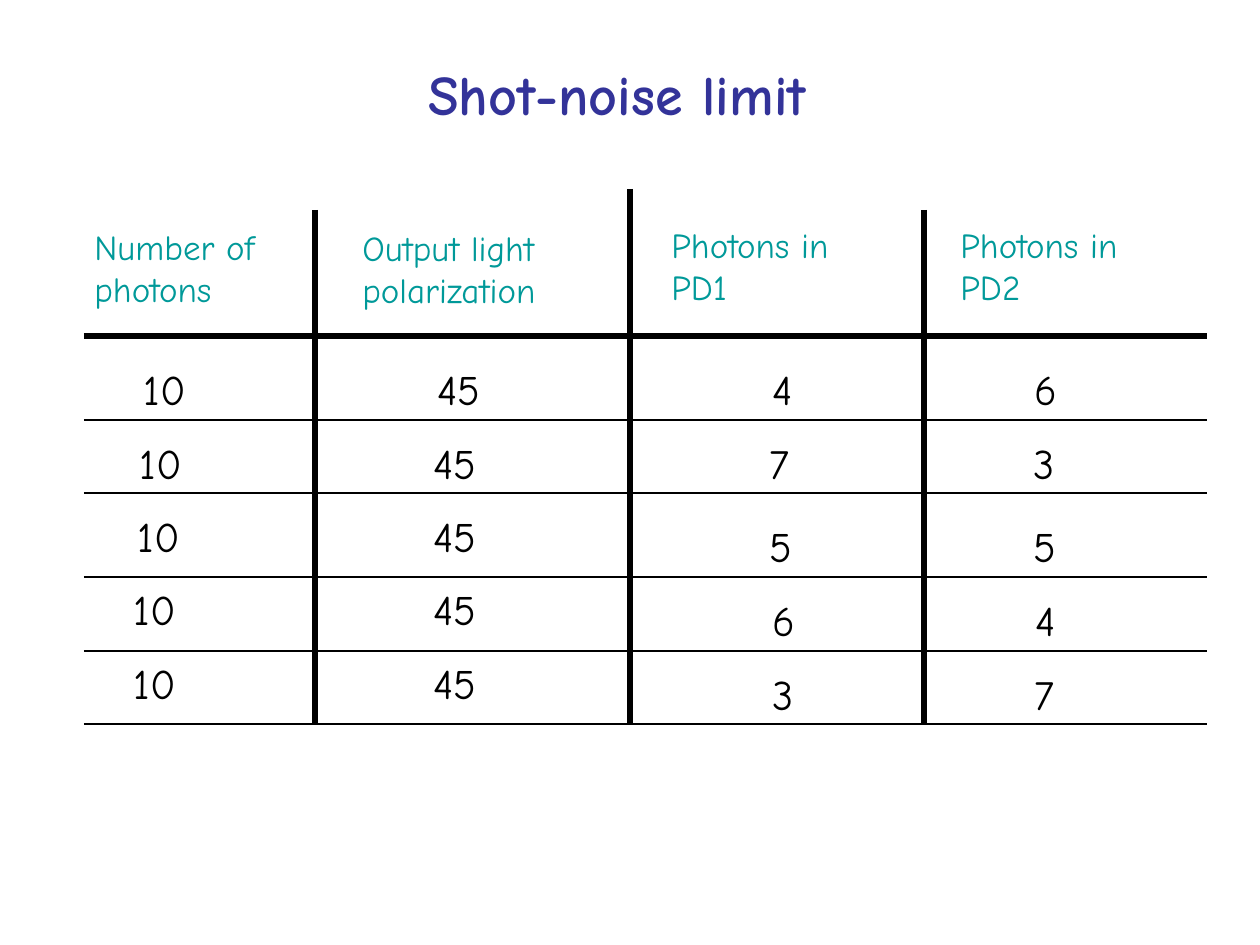
from pptx import Presentation
from pptx.dml.color import RGBColor
from pptx.enum.shapes import MSO_CONNECTOR
from pptx.enum.text import MSO_AUTO_SIZE
from pptx.oxml.ns import qn
from pptx.util import Emu, Pt
from lxml.etree import SubElement

SCALE = 914400 // 126
FONT = "Comic Neue"
BLACK, TEAL, NAVY = "000000", "009999", "333399"

TITLE = ("Shot-noise limit", 416, 53, 404, 81)
HEADERS = [
    ("Number of\nphotons", 82, 219, 185),
    ("Output light\npolarization", 350, 220, 208),
    ("Photons in\nPD1", 659, 217, 195),
    ("Photons in\nPD2", 948, 217, 195),
]
ROWS = [
    ("10", "45", "4", "6"),
    ("10", "45", "7", "3"),
    ("10", "45", "5", "5"),
    ("10", "45", "6", "4"),
    ("10", "45", "3", "7"),
]
ROW_LEFTS = [
    (131, 425, 760, 1022),
    (127, 421, 757, 1021),
    (125, 421, 757, 1021),
    (121, 421, 760, 1023),
    (121, 421, 760, 1022),
]
ROW_TOPS = [(357, 357), (431, 431), (504, 514), (577, 588), (651, 662)]
CELL_WIDTHS = {"10": 67, "45": 68, "3": 47, "4": 45, "5": 48, "6": 48, "7": 45}
CELL_HEIGHT = 63

TABLE_LEFT, TABLE_RIGHT, TABLE_BOTTOM = 84, 1207, 724
HEADER_RULE = 336
ROW_RULES = [420, 493, 577, 651, TABLE_BOTTOM]
COLUMN_RULES = [(315, 210), (630, 189), (924, 210)]


def px(n):
    return Emu(n * SCALE)


def rgb(value):
    return RGBColor.from_string(value)


def add_text(s, text, x, y, w, h, size, color, bold=False):
    sp = s.shapes.add_textbox(px(x), px(y), px(w), px(h))
    tf = sp.text_frame
    tf.word_wrap = False
    tf.auto_size = MSO_AUTO_SIZE.SHAPE_TO_FIT_TEXT
    tf.text = text
    for p in tf.paragraphs:
        p.font.name = FONT
        p.font.size = Pt(size)
        p.font.bold = bold
        p.font.color.rgb = rgb(color)


def add_rule(s, x1, y1, x2, y2, width):
    line = s.shapes.add_connector(MSO_CONNECTOR.STRAIGHT, px(x1), px(y1), px(x2), px(y2))
    line.line.color.rgb = rgb(BLACK)
    line.line.width = Pt(width)
    SubElement(line._element.spPr, qn("a:effectLst"))


prs = Presentation()
prs.slide_width, prs.slide_height = px(1260), px(945)
s = prs.slides.add_slide(prs.slide_layouts[6])

add_text(s, *TITLE, 32, NAVY, bold=True)
for text, x, y, w in HEADERS:
    add_text(s, text, x, y, w, 97, 20, TEAL)

for x, top in COLUMN_RULES:
    add_rule(s, x, top, x, TABLE_BOTTOM, 3)

for values, lefts, tops in zip(ROWS, ROW_LEFTS, ROW_TOPS):
    for i, (value, x) in enumerate(zip(values, lefts)):
        add_text(s, value, x, tops[i // 2], CELL_WIDTHS[value], CELL_HEIGHT, 24, BLACK)

for y in ROW_RULES:
    add_rule(s, TABLE_LEFT, y, TABLE_RIGHT, y, 0.75)
add_rule(s, TABLE_LEFT, HEADER_RULE, TABLE_RIGHT, HEADER_RULE, 3)

prs.save("out.pptx")
